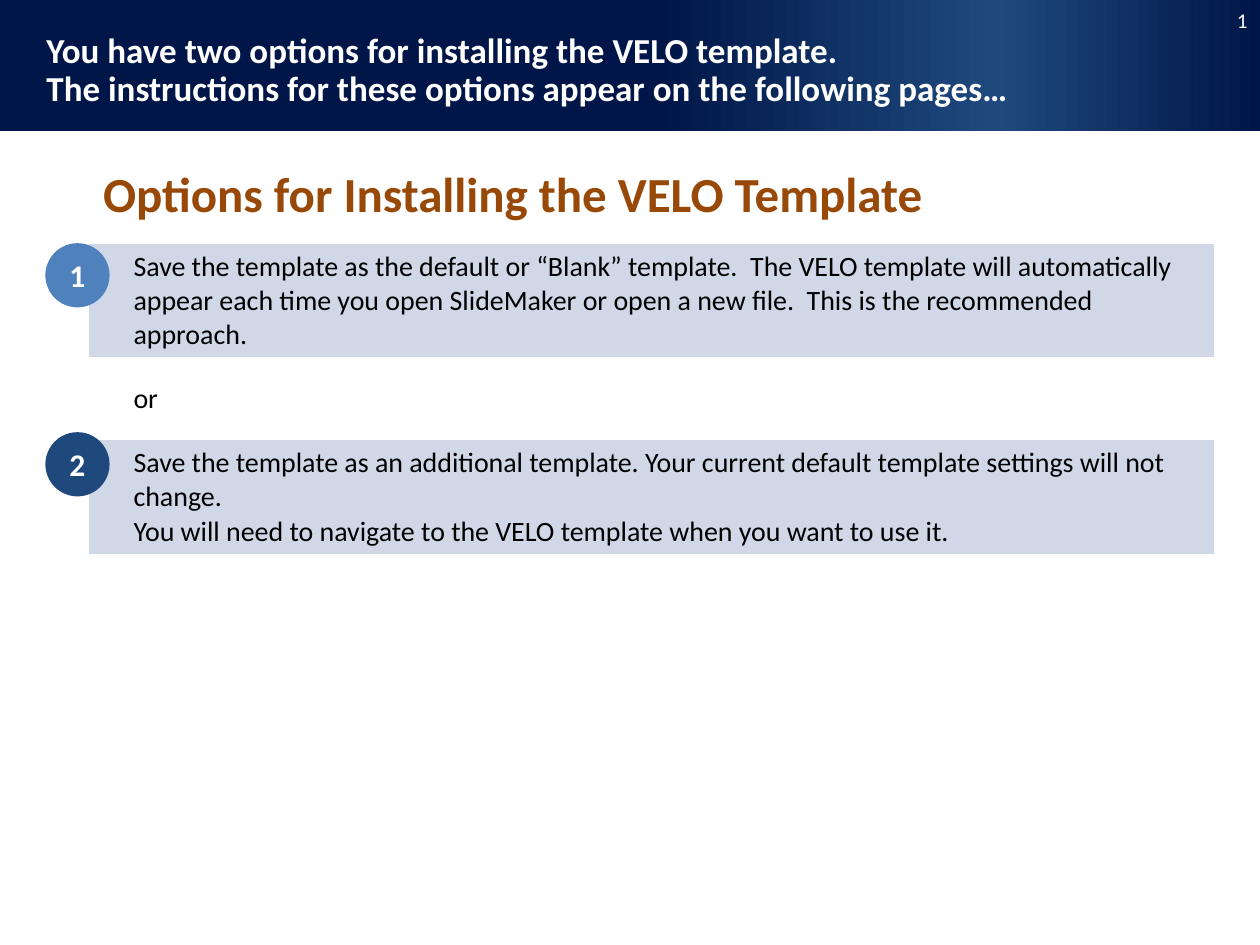
from lxml import etree
from pptx import Presentation
from pptx.dml.color import RGBColor
from pptx.enum.shapes import MSO_SHAPE as Shape
from pptx.enum.text import MSO_ANCHOR as Anchor, MSO_AUTO_SIZE as AutoSize, PP_ALIGN as Align
from pptx.oxml import parse_xml
from pptx.oxml.ns import nsdecls, qn
from pptx.util import Inches, Pt

FONT = "Calibri"
WHITE = RGBColor(0xFF, 0xFF, 0xFF)
BLACK = RGBColor(0, 0, 0)
NAVY = RGBColor(0x00, 0x16, 0x48)
DARK_BLUE = RGBColor(0x1F, 0x49, 0x7D)
BLUE = RGBColor(0x4F, 0x81, 0xBD)
PALE_BLUE = RGBColor(0xD0, 0xD8, 0xE8)
BROWN = RGBColor(0x98, 0x48, 0x07)

TITLE = [
    "You have two options for installing the VELO template. ",
    "The instructions for these options appear on the following pages…",
]
HEADING = "Options for Installing the VELO Template"
PAGE_NUMBER = "1"
BANNER_STOPS = [(0, NAVY), (52, NAVY), (79, DARK_BLUE), (100, NAVY)]

# Row height, row fill, paragraphs
OPTION_ROWS = [
    (0.91, PALE_BLUE, [
        "Save the template as the default or “Blank” template.  The VELO template will "
        "automatically appear each time you open SlideMaker or open a new file.  "
        "This is the recommended approach."]),
    (0.65, None, ["or"]),
    (0.91, PALE_BLUE, [
        "Save the template as an additional template. Your current default template "
        "settings will not change.",
        "You will need to navigate to the VELO template when you want to use it."]),
]
TABLE_LEFT, TABLE_TOP, TABLE_WIDTH = 0.7, 1.93, 8.94

# Label, top, fill
BADGES = [("1", 1.93, BLUE), ("2", 3.43, DARK_BLUE)]
BADGE_LEFT, BADGE_SIZE = 0.36, 0.51


def add_run(para, text, size, color, bold=False):
    run = para.add_run()
    run.text = text
    font = run.font
    font.name, font.size, font.bold = FONT, Pt(size), bold
    font.color.rgb = color


def add_filled_shape(page, preset, left, top, width, height):
    shape = page.shapes.add_shape(
        preset, Inches(left), Inches(top), Inches(width), Inches(height))
    shape.shadow.inherit = False
    shape.line.fill.background()
    return shape


def add_text_box(page, left, top, width, height, anchor, wrap=True):
    """Add a text box and return its text frame."""
    box = page.shapes.add_textbox(
        Inches(left), Inches(top), Inches(width), Inches(height))
    frame = box.text_frame
    frame.word_wrap = wrap
    frame.vertical_anchor = anchor
    return frame


def add_banner(page):
    banner = add_filled_shape(page, Shape.RECTANGLE, 0, 0, 10, 1.04)
    banner.fill.gradient()
    banner.fill.gradient_angle = 0
    stop_list = banner.fill._fill._gradFill.find(qn("a:gsLst"))
    for stop in list(stop_list):
        stop_list.remove(stop)
    for percent, color in BANNER_STOPS:
        stop = etree.SubElement(stop_list, qn("a:gs"), pos=str(percent * 1000))
        etree.SubElement(stop, qn("a:srgbClr"), val=str(color))


def add_cell_borders(cell):
    properties = cell._tc.get_or_add_tcPr()
    for index, side in enumerate(("lnL", "lnR", "lnT", "lnB")):
        properties.insert(index, parse_xml(
            f'<a:{side} {nsdecls("a")} w="{Pt(1)}"><a:solidFill>'
            f'<a:srgbClr val="{WHITE}"/></a:solidFill></a:{side}>'))


def add_options_table(page):
    total_height = sum(height for height, _, _ in OPTION_ROWS)
    table = page.shapes.add_table(
        len(OPTION_ROWS), 1, Inches(TABLE_LEFT), Inches(TABLE_TOP),
        Inches(TABLE_WIDTH), Inches(total_height)).table
    table.first_row = table.horz_banding = False
    for index, (height, color, texts) in enumerate(OPTION_ROWS):
        table.rows[index].height = Inches(height)
        cell = table.cell(index, 0)
        cell.vertical_anchor = Anchor.MIDDLE
        if color is None:
            cell.fill.background()
        else:
            cell.fill.solid()
            cell.fill.fore_color.rgb = color
        add_cell_borders(cell)
        frame = cell.text_frame
        for position, text in enumerate(texts):
            para = frame.add_paragraph() if position else frame.paragraphs[0]
            para._p.get_or_add_pPr().set("marL", str(Inches(0.26)))
            add_run(para, text, 16, BLACK)


def add_badge(page, label, top, color):
    badge = add_filled_shape(page, Shape.OVAL, BADGE_LEFT, top, BADGE_SIZE, BADGE_SIZE)
    badge.fill.solid()
    badge.fill.fore_color.rgb = color
    frame = badge.text_frame
    frame.vertical_anchor = Anchor.MIDDLE
    para = frame.paragraphs[0]
    para.alignment = Align.CENTER
    add_run(para, label, 18, WHITE, bold=True)


def main():
    deck = Presentation()
    deck.slide_width, deck.slide_height = Inches(10), Inches(7.5)
    page = deck.slides.add_slide(deck.slide_layouts[6])

    add_banner(page)
    number = add_text_box(page, 9.6, 0.01, 0.4, 0.3, Anchor.MIDDLE).paragraphs[0]
    number.alignment = Align.RIGHT
    add_run(number, PAGE_NUMBER, 12, WHITE)

    add_options_table(page)

    title = add_text_box(page, 0.27, 0.25, 9.25, 0.63, Anchor.MIDDLE).paragraphs[0]
    title.line_spacing = 0.9
    for index, line in enumerate(TITLE):
        if index:
            title.add_line_break()
        add_run(title, line, 20, WHITE, bold=True)

    for badge in BADGES:
        add_badge(page, *badge)

    heading = add_text_box(page, 0.72, 1.24, 6.76, 0.57, Anchor.BOTTOM, wrap=False)
    heading.auto_size = AutoSize.SHAPE_TO_FIT_TEXT
    add_run(heading.paragraphs[0], HEADING, 28, BROWN, bold=True)

    deck.save("out.pptx")


if __name__ == "__main__":
    main()
